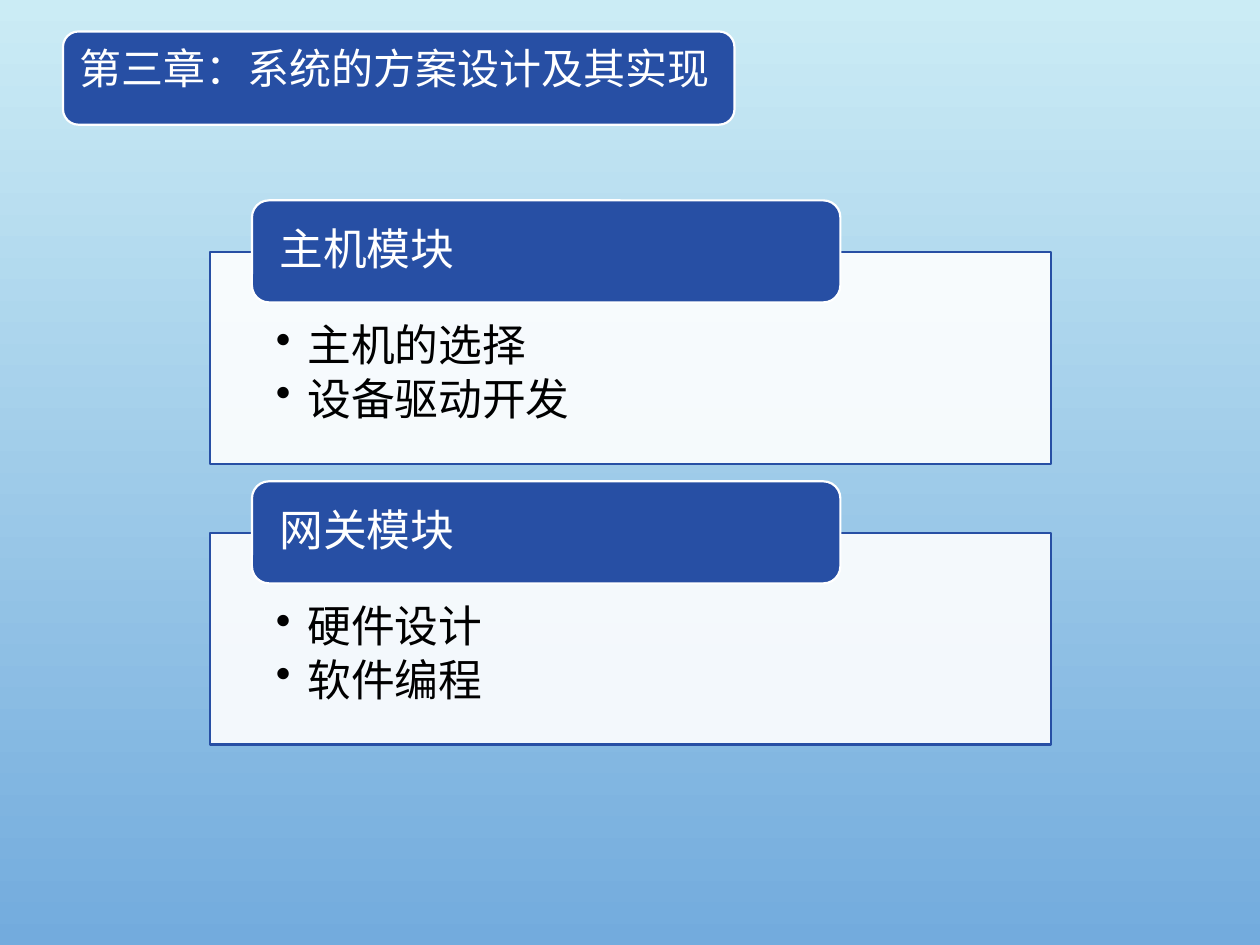
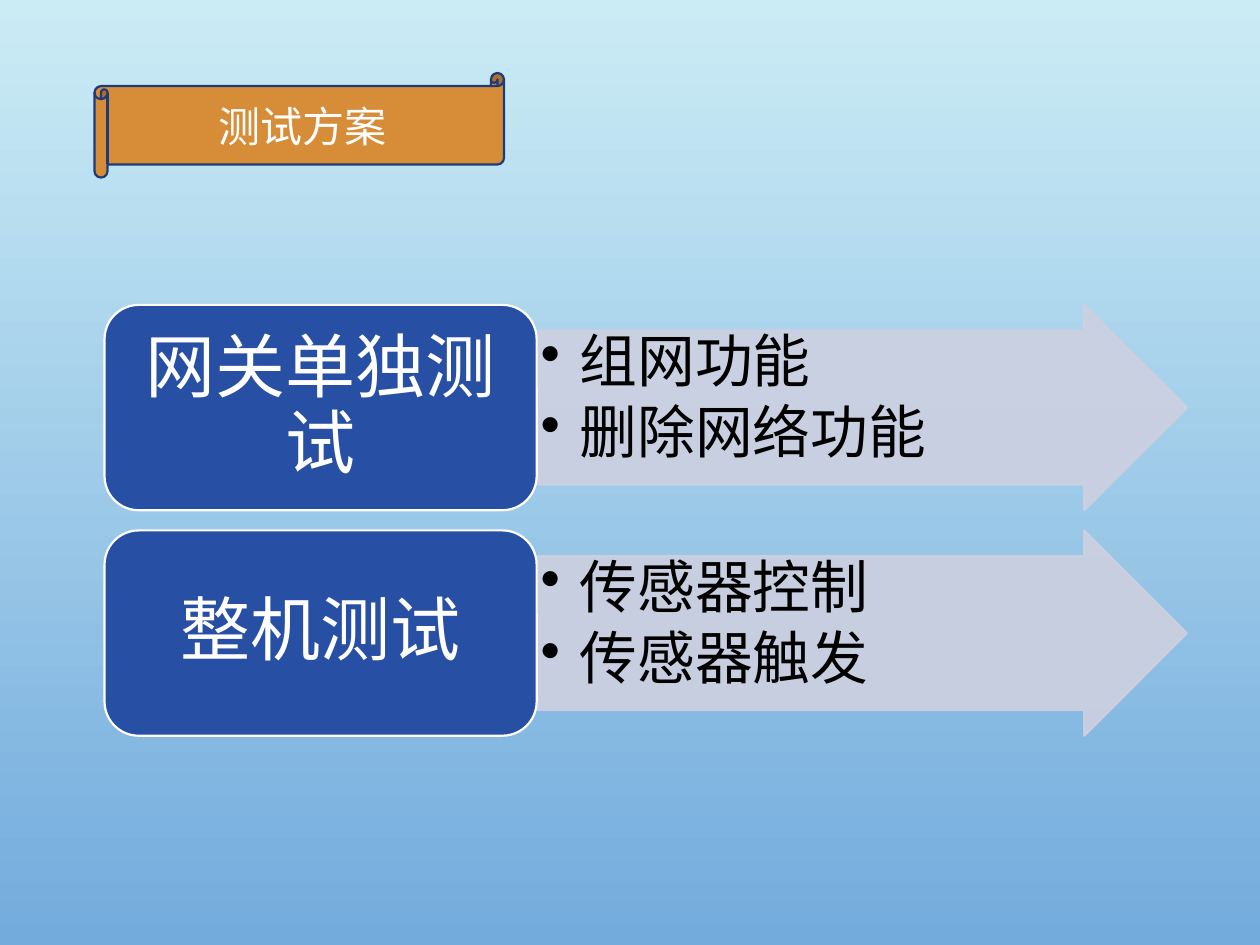
import lxml.etree
import pptx
import pptx.dml.color
import pptx.enum.shapes
import pptx.enum.text
import pptx.oxml.ns
import pptx.util

Inches = pptx.util.Inches
RGBColor = pptx.dml.color.RGBColor
SHAPE = pptx.enum.shapes.MSO_SHAPE
ALIGN = pptx.enum.text.PP_ALIGN
ANCHOR = pptx.enum.text.MSO_ANCHOR
qn = pptx.oxml.ns.qn

SKY_TOP = RGBColor(0xCB, 0xEC, 0xF5)
SKY_BOTTOM = RGBColor(0x73, 0xAB, 0xDD)
BLUE = RGBColor(0x27, 0x4F, 0xA4)
NAVY = RGBColor(0x1D, 0x3A, 0x79)
ORANGE = RGBColor(0xD7, 0x8D, 0x38)
LAVENDER = RGBColor(0xCD, 0xD0, 0xE0)
WHITE = RGBColor(0xFF, 0xFF, 0xFF)
BLACK = RGBColor(0x00, 0x00, 0x00)
FONT = "Calibri"


def add_block(slide, kind, left, top, width, height, fill, line, alpha=None, line_alpha=None):
    block = slide.shapes.add_shape(kind, Inches(left), Inches(top), Inches(width), Inches(height))
    block.shadow.inherit = False
    block.fill.solid()
    block.fill.fore_color.rgb = fill
    block.line.color.rgb = line
    block.line.width = pptx.util.Pt(1.25)
    for paint, percent in ((block.fill, alpha), (block.line.fill, line_alpha)):
        if percent:
            color = paint._xPr.find(qn("a:solidFill"))[0]
            lxml.etree.SubElement(color, qn("a:alpha"), val=str(percent * 1000))
    return block


def write(block, lines, size, color=WHITE, align=ALIGN.LEFT, anchor=ANCHOR.TOP,
          insets=(0.1, 0.05, 0.1, 0.05), spacing=None, after=None, hang=None):
    frame = block.text_frame
    frame.word_wrap = True
    frame.vertical_anchor = anchor
    frame.margin_left, frame.margin_top, frame.margin_right, frame.margin_bottom = map(Inches, insets)
    for index, line in enumerate(lines):
        paragraph = frame.add_paragraph() if index else frame.paragraphs[0]
        paragraph.alignment = align
        if spacing:
            paragraph.line_spacing = spacing
        properties = paragraph._p.get_or_add_pPr()
        if after:
            space = lxml.etree.SubElement(properties, qn("a:spcAft"))
            lxml.etree.SubElement(space, qn("a:spcPct"), val=str(after * 1000))
        if hang:
            properties.set("marL", str(Inches(hang)))
            properties.set("indent", str(-Inches(hang)))
            lxml.etree.SubElement(properties, qn("a:buChar"), char="•")
        run = paragraph.add_run()
        run.text = line
        run.font.size = pptx.util.Pt(size)
        run.font.name = FONT
        run.font.color.rgb = color


deck = pptx.Presentation()
deck.slide_width = Inches(10)
deck.slide_height = Inches(7.5)

design, testing = [deck.slides.add_slide(deck.slide_layouts[6]) for _ in range(2)]
for slide in (design, testing):
    sky = slide.background.fill
    sky.gradient()
    sky.gradient_angle = 270
    for stop, position, color in zip(sky.gradient_stops, (0, 1), (SKY_TOP, SKY_BOTTOM)):
        stop.position = position
        stop.color.rgb = color

chapter = add_block(design, SHAPE.ROUNDED_RECTANGLE, 0.5, 0.25, 5.33, 0.74, BLUE, WHITE)
write(chapter, ["第三章：系统的方案设计及其实现"], 24)

modules = [
    ("主机模块", ["主机的选择", "设备驱动开发"]),
    ("网关模块", ["硬件设计", "软件编程"]),
]
for row, (module, tasks) in enumerate(modules):
    top = 1.59 + row * 2.23
    panel = add_block(design, SHAPE.RECTANGLE, 1.67, top + 0.41, 6.67, 1.68, WHITE, BLUE, alpha=90)
    write(panel, tasks, 25, color=BLACK, insets=(0.52, 0.57, 0.52, 0.19),
          spacing=0.9, after=15, hang=0.25)
    header = add_block(design, SHAPE.ROUNDED_RECTANGLE, 2, top, 4.67, 0.81, BLUE, WHITE)
    write(header, [module], 25, anchor=ANCHOR.MIDDLE, insets=(0.18, 0, 0.18, 0),
          spacing=0.9, after=35)

scroll = add_block(testing, SHAPE.HORIZONTAL_SCROLL, 0.75, 0.58, 3.25, 0.83, ORANGE, NAVY)
write(scroll, ["测试方案"], 24, align=ALIGN.CENTER, anchor=ANCHOR.MIDDLE)

tests = [
    ("网关单独测试", ["组网功能", "删除网络功能"]),
    ("整机测试", ["传感器控制", "传感器触发"]),
]
for row, (test, functions) in enumerate(tests):
    top = 2.42 + row * 1.79
    arrow = add_block(testing, SHAPE.RIGHT_ARROW, 4.27, top, 5.15, 1.63, LAVENDER, LAVENDER,
                      alpha=90, line_alpha=90)
    arrow.adjustments[0] = 0.75
    arrow.adjustments[1] = 0.5
    write(arrow, functions, 33, color=BLACK, insets=(0.02, 0.02, 0.02, 0.02),
          spacing=0.9, after=15, hang=0.31)
    subject = add_block(testing, SHAPE.ROUNDED_RECTANGLE, 0.83, top, 3.43, 1.63, BLUE, WHITE)
    write(subject, [test], 40, align=ALIGN.CENTER, anchor=ANCHOR.MIDDLE,
          insets=(0.17, 0.08, 0.17, 0.08), spacing=0.9, after=35)

deck.save("out.pptx")
